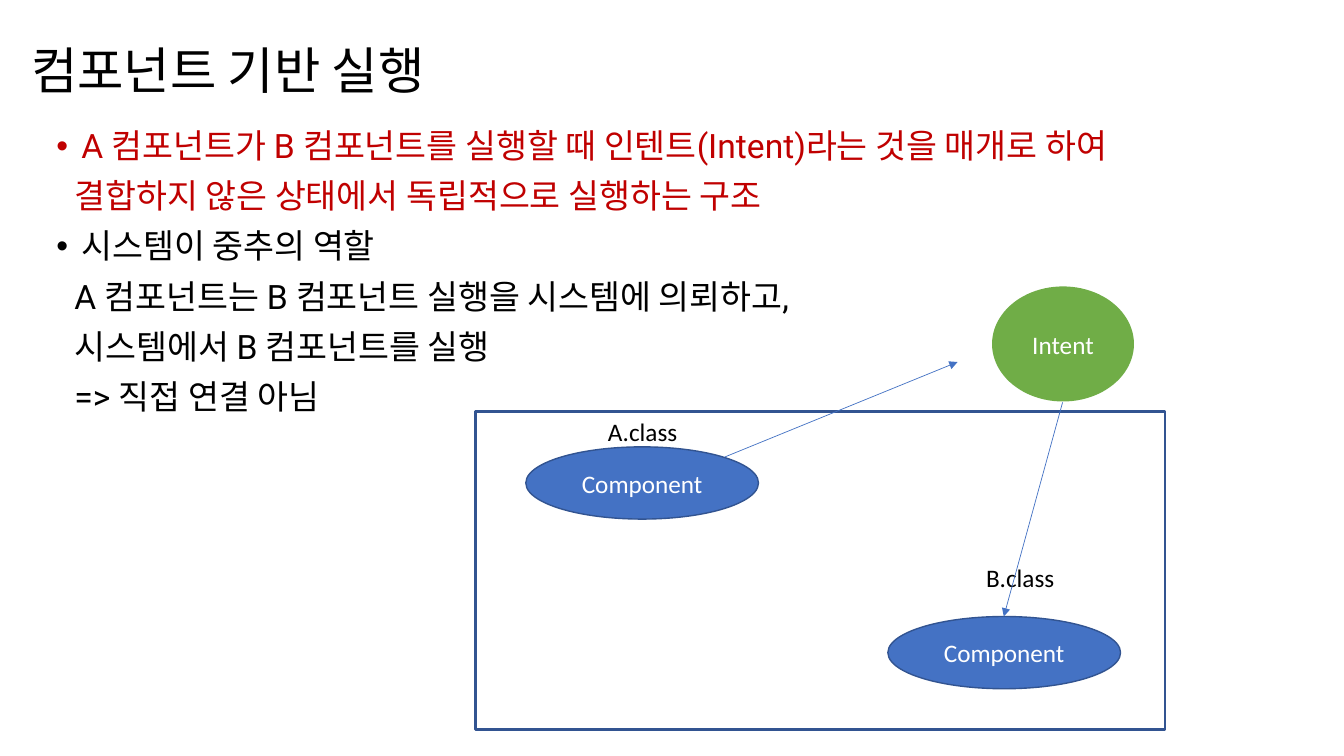
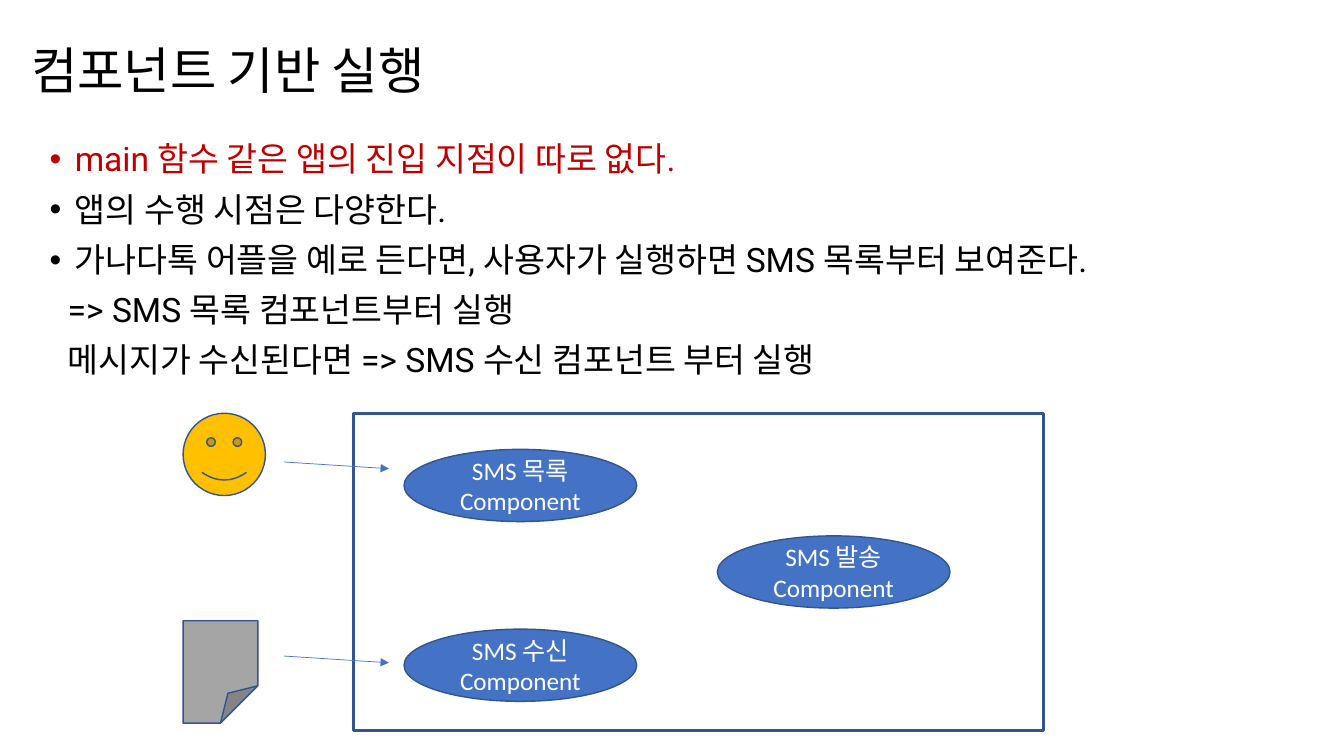
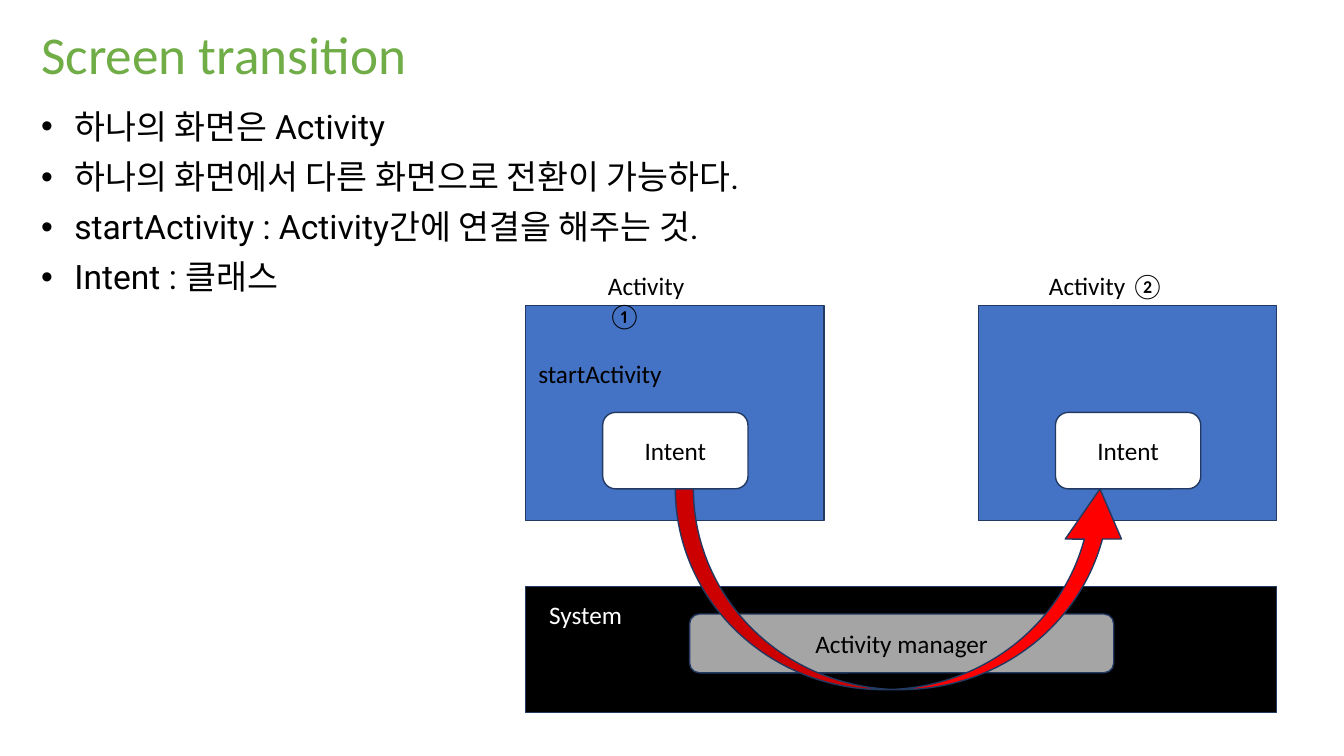
from lxml.etree import SubElement
from pptx import Presentation
from pptx.dml.color import RGBColor
from pptx.enum.shapes import MSO_CONNECTOR, MSO_SHAPE
from pptx.enum.text import MSO_ANCHOR, MSO_AUTO_SIZE, PP_ALIGN
from pptx.oxml.ns import qn
from pptx.util import Inches, Pt

COLUMNS, ROWS = 160, 90
BLACK, WHITE, RED, GREEN = "000000", "FFFFFF", "C00000", "70AD47"
BLUE, NAVY, DARK, GREY = "4472C4", "325491", "223961", "A5A5A5"
OVAL = (27.7, 8.6)
FRAME = (82.1, 37.8)
LABEL_HEIGHT = 4.8


def rgb(value):
    return RGBColor.from_string(value)


class Deck:
    """Holds the style and the current slide; places are grid columns and rows."""

    def __init__(self):
        self.prs = Presentation()
        self.prs.slide_width, self.prs.slide_height = Inches(13.33), Inches(7.5)
        self.s = None

    def x(self, columns):
        return round(self.prs.slide_width * columns / COLUMNS)

    def y(self, rows):
        return round(self.prs.slide_height * rows / ROWS)

    def box(self, left, top, width, height):
        return self.x(left), self.y(top), self.x(width), self.y(height)

    def style(self, p, size, color, font="Calibri"):
        for r in p.runs:
            r.font.size, r.font.name = Pt(size), font
            r.font.color.rgb = rgb(color)

    def place(self, sp, at):
        sp.left, sp.top, sp.width, sp.height = self.box(*at)
        sp.text_frame.auto_size = MSO_AUTO_SIZE.NONE
        return sp.text_frame

    def slide(self, title, at=(2.5, 0, 138, 17.4), size=36, color=BLACK, font="Roboto",
              spacing=0.9):
        self.s = self.prs.slides.add_slide(self.prs.slide_layouts[1])
        tf = self.place(self.s.shapes.title, at)
        tf.text = title
        tf.vertical_anchor = MSO_ANCHOR.MIDDLE
        p = tf.paragraphs[0]
        p.alignment, p.line_spacing = PP_ALIGN.LEFT, spacing
        self.style(p, size, color, font)

    def body(self, at, items, hang=0.25):
        """Each item is its text, whether it has a bullet, and its colour."""
        tf = self.place(self.s.placeholders[1], at)
        tf.text = "\n".join(text for text, _, _ in items)
        for p, (_, bullet, color) in zip(tf.paragraphs, items):
            p.line_spacing, p.space_before = 0.9, Pt(10)
            pPr = p._p.get_or_add_pPr()
            pPr.set("marL", str(Inches(hang if bullet else 0.18)))
            pPr.set("indent", str(-Inches(hang) if bullet else 0))
            if not bullet:
                SubElement(pPr, qn("a:buNone"))
            self.style(p, 24, color, "Roboto")

    def adjust(self, sp, values):
        """Sets the preset's guides, including presets without listed adjustments."""
        guides = sp._element.spPr.find(qn("a:prstGeom")).get_or_add_avLst()
        for guide in list(guides):
            guides.remove(guide)
        for i, value in enumerate(values, 1):
            name = f"adj{i}" if len(values) > 1 else "adj"
            SubElement(guides, qn("a:gd"), name=name, fmla=f"val {round(value * 100000)}")

    def shape(self, kind, at, fill=None, line=NAVY, width=1, text="", color=WHITE, adjust=()):
        sp = self.s.shapes.add_shape(kind, *self.box(*at))
        sp.shadow.inherit = False
        if adjust:
            self.adjust(sp, adjust)
        if fill:
            sp.fill.solid()
            sp.fill.fore_color.rgb = rgb(fill)
        else:
            sp.fill.background()
        if line:
            sp.line.color.rgb, sp.line.width = rgb(line), Pt(width)
        else:
            sp.line.fill.background()
        if text:
            sp.text_frame.text = text
            for p in sp.text_frame.paragraphs:
                p.alignment = PP_ALIGN.CENTER
                self.style(p, 18, color)

    def frame(self, left, top):
        self.shape(MSO_SHAPE.RECTANGLE, (left, top, *FRAME), width=2)

    def component(self, left, top, text):
        self.shape(MSO_SHAPE.OVAL, (left, top, *OVAL), BLUE, text=text)

    def label(self, left, top, width, text, color=BLACK, wrap=True):
        tf = self.s.shapes.add_textbox(*self.box(left, top, width, LABEL_HEIGHT)).text_frame
        tf.word_wrap = wrap
        tf.text = text
        self.style(tf.paragraphs[0], 18, color)

    def arrow(self, x1, y1, x2, y2):
        c = self.s.shapes.add_connector(
            MSO_CONNECTOR.STRAIGHT, self.x(x1), self.y(y1), self.x(x2), self.y(y2))
        c.line.color.rgb, c.line.width = rgb(BLUE), Pt(0.5)
        SubElement(c.line._get_or_add_ln(), qn("a:tailEnd"), type="triangle")
        SubElement(c._element.spPr, qn("a:effectLst"))


def intent_slide(deck):
    deck.slide("컴포넌트 기반 실행")
    deck.body((5.5, 14.8, 152, 57.1), [
        ("A 컴포넌트가 B 컴포넌트를 실행할 때 인텐트(Intent)라는 것을 매개로 하여", True, RED),
        ("결합하지 않은 상태에서 독립적으로 실행하는 구조", False, RED),
        ("시스템이 중추의 역할", True, BLACK),
        ("A 컴포넌트는 B 컴포넌트 실행을 시스템에 의뢰하고,", False, BLACK),
        ("시스템에서 B 컴포넌트를 실행", False, BLACK),
        ("=> 직접 연결 아님", False, BLACK),
    ])
    deck.frame(56.6, 49)
    for left, top in ((62.6, 53.2), (105.7, 73.4)):
        deck.component(left, top, "Component")
    deck.label(71.2, 49, 10.7, "A.class", wrap=False)
    deck.label(116.2, 66.4, 10.6, "B.class", wrap=False)
    deck.arrow(86.3, 54.4, 114, 43.1)
    deck.shape(MSO_SHAPE.OVAL, (118.1, 34.1, 16.9, 13.7), GREEN, line=None, text="Intent")
    deck.arrow(126.5, 47.9, 119.5, 73.4)


def entry_point_slide(deck):
    deck.slide("컴포넌트 기반 실행")
    deck.body((4.7, 16.4, 152.8, 57.1), [
        ("main 함수 같은 앱의 진입 지점이 따로 없다.", True, RED),
        ("앱의 수행 시점은 다양한다.", True, BLACK),
        ("가나다톡 어플을 예로 든다면, 사용자가 실행하면 SMS 목록부터 보여준다.", True, BLACK),
        ("=> SMS 목록 컴포넌트부터 실행", False, BLACK),
        ("메시지가 수신된다면 => SMS 수신 컴포넌트 부터 실행", False, BLACK),
    ])
    deck.frame(42.1, 49.2)
    for left, top, role in ((48.1, 53.5, "목록"), (48.1, 74.9, "수신"), (85.4, 63.8, "발송")):
        deck.component(left, top, f"SMS {role}\nComponent")
    deck.shape(MSO_SHAPE.SMILEY_FACE, (21.8, 49.2, 9.8, 9.8), "FFC000")
    deck.shape(MSO_SHAPE.FOLDED_CORNER, (21.8, 73.9, 8.9, 12.2), GREY, adjust=[0.5])
    for top in (55, 78.1):
        deck.arrow(33.8, top, 46.3, top + 0.8)


def transition_slide(deck):
    deck.slide("Screen transition", (3.7, 0, 126.5, 12.6), 38, GREEN, "Calibri", 1)
    deck.body((3.7, 12.5, 148.3, 65.2), [(text, True, BLACK) for text in (
        "하나의 화면은 Activity",
        "하나의 화면에서 다른 화면으로 전환이 가능하다.",
        "startActivity : Activity간에 연결을 해주는 것.",
        "Intent : 클래스",
    )], hang=0.33)
    for left in (62.6, 116.5):
        deck.shape(MSO_SHAPE.RECTANGLE, (left, 36.4, 35.5, 25.6), BLUE, DARK)
        deck.shape(MSO_SHAPE.ROUNDED_RECTANGLE, (left + 9.15, 49.1, 17.3, 9.1), WHITE, DARK,
                   text="Intent", color=BLACK)
    deck.shape(MSO_SHAPE.RECTANGLE, (62.6, 69.8, 89.4, 15), BLACK, DARK)
    deck.shape(MSO_SHAPE.ROUNDED_RECTANGLE, (82.1, 73.1, 50.5, 7), GREY, DARK,
               text="Activity manager", color=BLACK)
    deck.shape(MSO_SHAPE.CURVED_UP_ARROW, (80.4, 58.2, 53.9, 23.9), "FF0000", DARK,
               adjust=[0.09, 0.28, 0.25])
    deck.label(62.9, 42.1, 17.9, "startActivity")
    deck.label(71.2, 31.6, 15.5, "Activity ①")
    deck.label(123.7, 31.6, 17.9, "Activity ②")
    deck.label(64.2, 70.7, 17.9, "System", WHITE)


def main():
    deck = Deck()
    for build in (intent_slide, entry_point_slide, transition_slide):
        build(deck)
    deck.prs.save("out.pptx")


if __name__ == "__main__":
    main()
